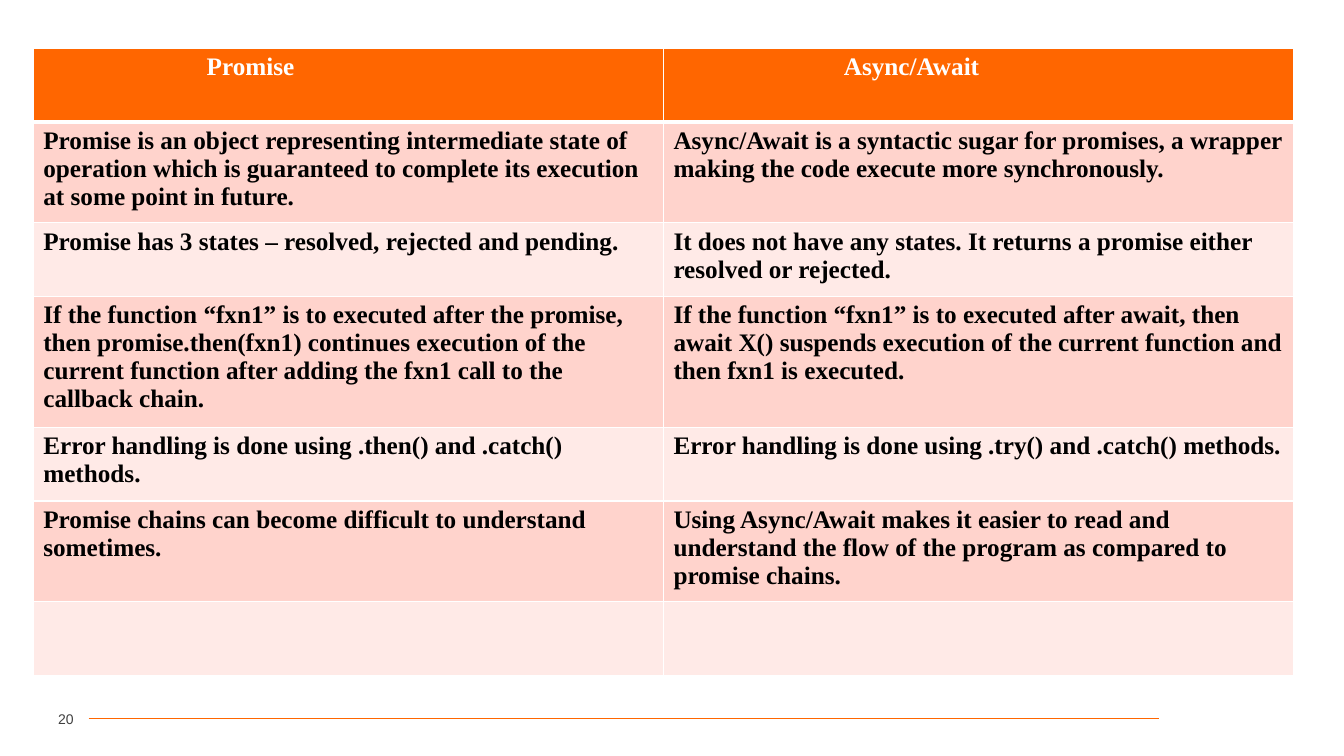
from lxml import etree
from pptx import Presentation, util as u
from pptx.dml.color import RGBColor
from pptx.enum import shapes, text
from pptx.oxml import ns

# Content
HEADERS = ("Promise", "Async/Await")
COMPARISON = [
    ("Promise is an object representing intermediate state of operation which is "
     "guaranteed to complete its execution at some point in future.",
     "Async/Await is a syntactic sugar for promises, a wrapper making the code "
     "execute more synchronously."),
    ("Promise has 3 states – resolved, rejected and pending.",
     "It does not have any states. It returns a promise either resolved or rejected."),
    ("If the function “fxn1” is to executed after the promise, then "
     "promise.then(fxn1) continues execution of the current function after adding "
     "the fxn1 call to the callback chain.",
     "If the function “fxn1” is to executed after await, then await X() suspends "
     "execution of the current function and then fxn1 is executed."),
    ("Error handling is done using .then() and .catch() methods.",
     "Error handling is done using .try() and .catch() methods."),
    ("Promise chains can become difficult to understand sometimes.",
     "Using Async/Await makes it easier to read and understand the flow of the "
     "program as compared to promise chains."),
    ("", ""),
]
PAGE_NUMBER = "20"


class Theme:
    accent = "FF6600"
    header_text = border = "FFFFFF"
    body_text = "000000"
    number_text = "404040"
    bands = ("FFD3CC", "FFEAE7")
    table_font, table_size = "Times New Roman", 18
    number_font, number_size = "Arial", 10
    thin, thick = 1, 3


# Layout, in inches
WIDTH, HEIGHT = 13.33, 7.5
LEFT, TOP = 0.33, 0.48
COLUMN_WIDTH, ROW_HEIGHT = 6.25, 0.73
CELL_MARGIN = 0.1
HEADER_MARGINS = (1.72, 1.79)
RULE_START, RULE_END, RULE_Y = 0.88, 11.5, 7.13
NUMBER_BOX = (LEFT, 6.99, 0.4, 0.29)


def style_font(font, name, size, color, bold=False):
    font.name, font.size, font.bold = name, u.Pt(size), bold
    font.color.rgb = RGBColor.from_string(color)


def add_borders(cell, top, bottom):
    properties = cell._tc.get_or_add_tcPr()
    widths = {"L": Theme.thin, "R": Theme.thin, "T": top, "B": bottom}
    for side, width in widths.items():
        line = etree.SubElement(properties, ns.qn(f"a:ln{side}"), w=str(u.Pt(width)))
        fill = etree.SubElement(line, ns.qn("a:solidFill"))
        etree.SubElement(fill, ns.qn("a:srgbClr"), val=Theme.border)


def add_comparison(slide):
    rows = [HEADERS, *COMPARISON]
    table = slide.shapes.add_table(
        len(rows), len(HEADERS), u.Inches(LEFT), u.Inches(TOP),
        u.Inches(COLUMN_WIDTH * len(HEADERS)), u.Inches(ROW_HEIGHT * len(rows))).table
    for column in table.columns:
        column.width = u.Inches(COLUMN_WIDTH)
    for r, entries in enumerate(rows):
        table.rows[r].height = u.Inches(ROW_HEIGHT)
        is_header = r == 0
        fill = Theme.accent if is_header else Theme.bands[(r - 1) % 2]
        color = Theme.header_text if is_header else Theme.body_text
        for c, entry in enumerate(entries):
            cell = table.cell(r, c)
            # The thick rule lies between the header and the first body row
            add_borders(cell, Theme.thick if r == 1 else Theme.thin,
                        Theme.thick if is_header else Theme.thin)
            cell.fill.solid()
            cell.fill.fore_color.rgb = RGBColor.from_string(fill)
            cell.margin_left = u.Inches(HEADER_MARGINS[c] if is_header else CELL_MARGIN)
            cell.text = entry
            style_font(cell.text_frame.paragraphs[0].font, Theme.table_font,
                       Theme.table_size, color, bold=True)


def add_footer(slide):
    # Rule
    rule = slide.shapes.add_connector(
        shapes.MSO_CONNECTOR.STRAIGHT, u.Inches(RULE_START), u.Inches(RULE_Y),
        u.Inches(RULE_END), u.Inches(RULE_Y))
    rule.line.color.rgb = RGBColor.from_string(Theme.accent)
    rule.line.width = u.Pt(0.5)
    etree.SubElement(rule._element.spPr, ns.qn("a:effectLst"))

    # Page number
    frame = slide.shapes.add_textbox(*map(u.Inches, NUMBER_BOX)).text_frame
    frame.word_wrap = True
    frame.margin_left = frame.margin_right = 0
    frame.vertical_anchor = text.MSO_ANCHOR.MIDDLE
    paragraph = frame.paragraphs[0]
    paragraph.text = PAGE_NUMBER
    paragraph.alignment = text.PP_ALIGN.RIGHT
    style_font(paragraph.font, Theme.number_font, Theme.number_size, Theme.number_text)


def main():
    presentation = Presentation()
    presentation.slide_width = u.Inches(WIDTH)
    presentation.slide_height = u.Inches(HEIGHT)
    slide = presentation.slides.add_slide(presentation.slide_layouts.get_by_name("Blank"))
    add_footer(slide)
    add_comparison(slide)
    presentation.save("out.pptx")


if __name__ == "__main__":
    main()
